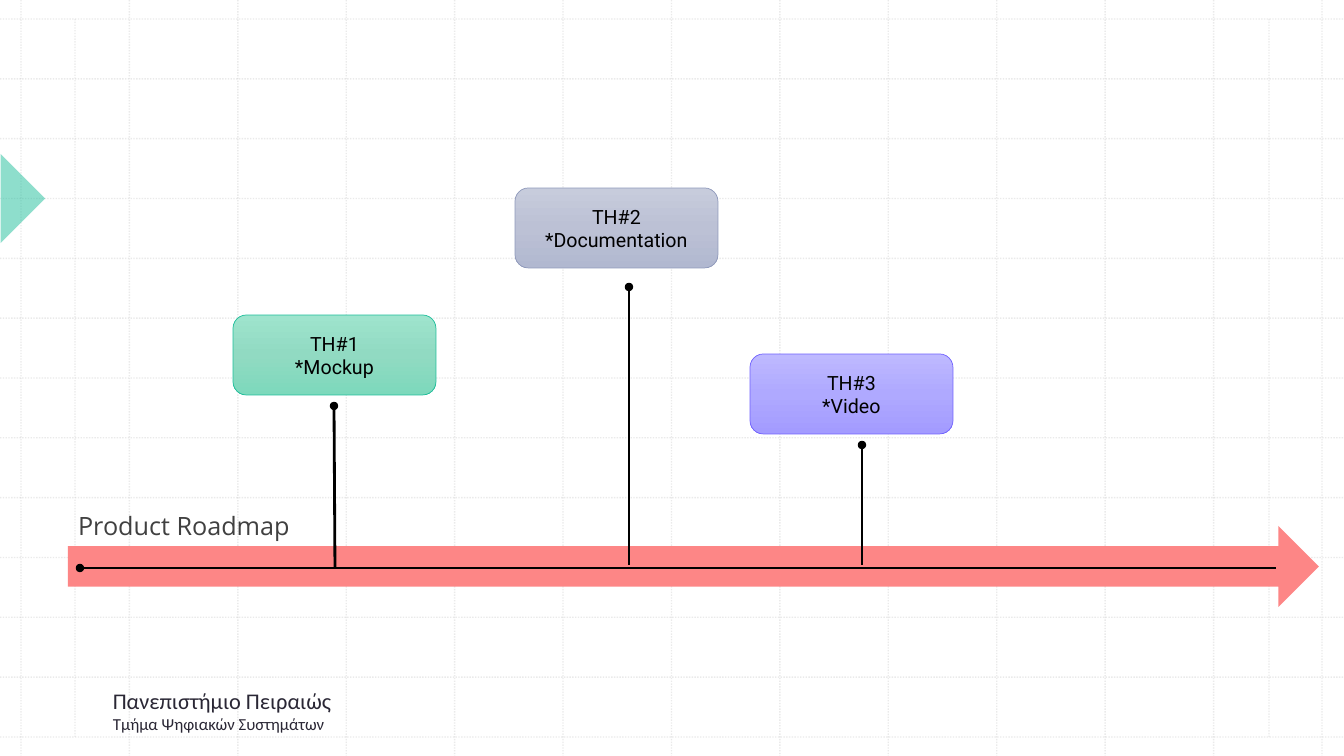
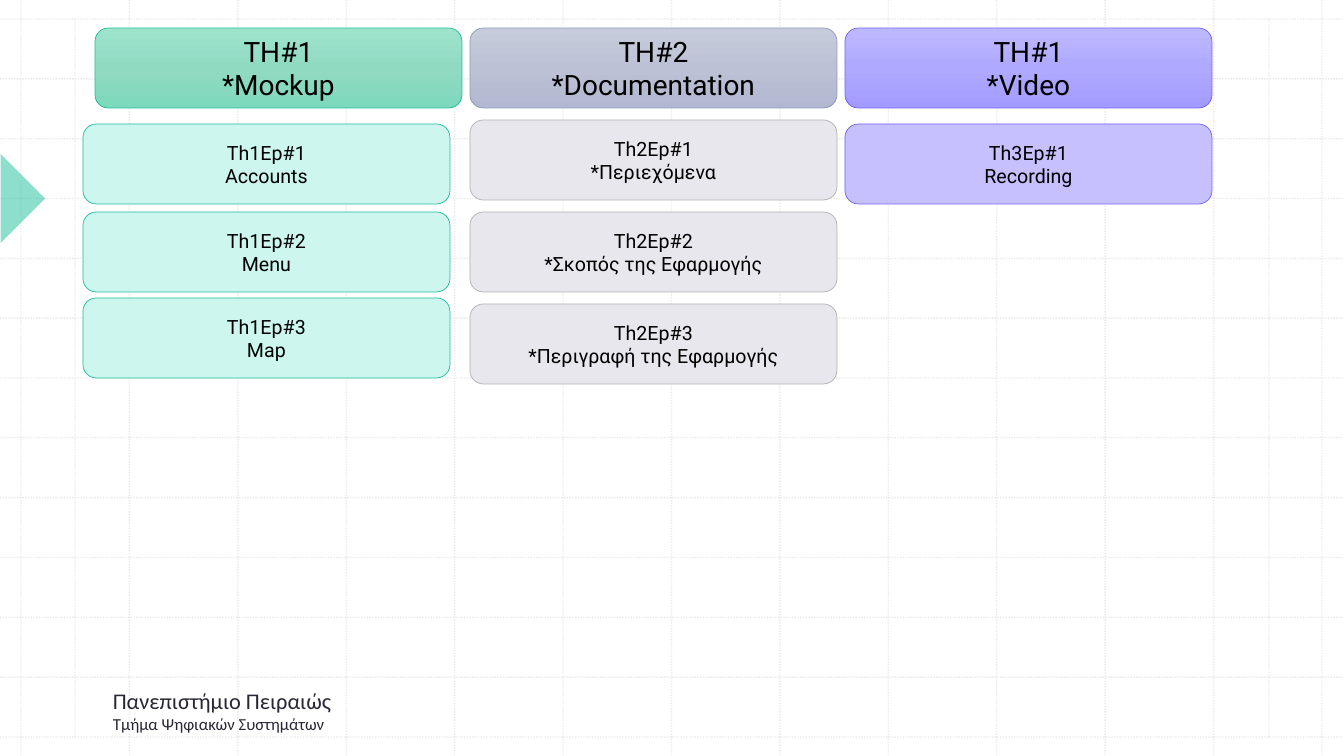
"""Build a product roadmap timeline and its theme and epic board."""
import copy
import dataclasses
from typing import Optional

import lxml.etree
import pptx
import pptx.dml.color
import pptx.enum.dml
import pptx.enum.shapes
import pptx.enum.text
import pptx.oxml.ns
import pptx.presentation
import pptx.shapes.autoshape
import pptx.shapes.connector
import pptx.slide
import pptx.text.text
import pptx.util

SHAPE = pptx.enum.shapes.MSO_SHAPE
ALIGN = pptx.enum.text.PP_ALIGN
ANCHOR = pptx.enum.text.MSO_ANCHOR
qn = pptx.oxml.ns.qn

SLIDE_W, SLIDE_H = 1344, 756
EMU_PER_PX = 914400 / 100.8
TITLE_ONLY, BLANK = 5, 6
CARD_H = 80


@dataclasses.dataclass(frozen=True)
class Tint:
    """Colours of one roadmap theme."""
    stops: tuple[str, str, str]
    line: str
    epic_fill: str
    epic_line: str


@dataclasses.dataclass(frozen=True)
class Theme:
    """Colours, fonts and type sizes of the deck."""
    grid: str = "BCBCBC"
    accent: str = "1EBE9B"
    arrow: str = "FD8686"
    ink: str = "000000"
    title: str = "404040"
    footer: str = "2A2735"
    card_font: str = "Roboto"
    title_font: str = "Open Sans"
    footer_font: str = "Calibri"
    card_size: int = 14
    head_size: int = 20
    title_size: int = 18
    footer_size: int = 16
    footer_small: int = 12
    mockup: Tint = Tint(("9EE4CD", "91DAC2", "7DD9BC"), "1EBE9B", "CDF7EE", "1EBE9B")
    documentation: Tint = Tint(("C7CCDC", "BCC1D5", "B1B8D0"), "8F99BB", "E8E7ED", "B2B2B2")
    video: Tint = Tint(("BEB9FF", "AFA9FF", "A39BFF"), "7162FE", "C6C0FF", "7162FE")


THEME = Theme()


@dataclasses.dataclass(frozen=True)
class Milestone:
    """A theme card on the timeline with its pin."""
    x: int
    y: int
    lines: tuple[str, str]
    tint: Tint
    pin_foot: tuple[int, int]
    pin_head: tuple[int, int]


@dataclasses.dataclass(frozen=True)
class Column:
    """A theme heading with the epics below it."""
    lines: tuple[str, str]
    tint: Tint
    epic_x: int
    epics: tuple[tuple[int, str, str], ...]


MILESTONES = (
    Milestone(233, 315, ("ΤΗ#1", "*Mockup"), THEME.mockup, (335, 568), (334, 406)),
    Milestone(515, 188, ("ΤΗ#2", "*Documentation"), THEME.documentation, (629, 565), (629, 287)),
    Milestone(750, 354, ("ΤΗ#3", "*Video"), THEME.video, (862, 565), (862, 445)),
)
COLUMNS = (
    Column(("ΤΗ#1", "*Mockup"), THEME.mockup, 83, (
        (124, "Th1Ep#1", "Accounts"),
        (212, "Th1Ep#2", "Menu"),
        (298, "Th1Ep#3", "Map"),
    )),
    Column(("ΤΗ#2", "*Documentation"), THEME.documentation, 470, (
        (120, "Th2Ep#1", "*Περιεχόμενα"),
        (212, "Th2Ep#2", "*Σκοπός της Εφαρμογής"),
        (304, "Th2Ep#3", "*Περιγραφή της Εφαρμογής"),
    )),
    Column(("ΤΗ#1", "*Video"), THEME.video, 845, (
        (124, "Th3Ep#1", "Recording"),
    )),
)


def px(n: float) -> pptx.util.Emu:
    """Turn pixels into EMU."""
    return pptx.util.Emu(round(n * EMU_PER_PX))


def rgb(code: str) -> pptx.dml.color.RGBColor:
    """Turn a hex code into a colour."""
    return pptx.dml.color.RGBColor.from_string(code)


def set_alpha(element: lxml.etree._Element, percent: int) -> None:
    """Make the first colour inside an element partly transparent."""
    clr = next(element.iter(qn("a:srgbClr")))
    lxml.etree.SubElement(clr, qn("a:alpha"), val=str(percent * 1000))


def add_run(p: pptx.text.text._Paragraph, text: str, font: str, size: int, color: str) -> None:
    """Append one formatted run."""
    r = p.add_run()
    r.text = text
    r.font.name = font
    r.font.size = pptx.util.Pt(size)
    r.font.color.rgb = rgb(color)


def add_line(shapes, start: tuple[float, float], end: tuple[float, float],
             color: str, width: int) -> pptx.shapes.connector.Connector:
    """Draw a straight line without a shadow."""
    straight = pptx.enum.shapes.MSO_CONNECTOR.STRAIGHT
    line = shapes.add_connector(straight, *map(px, start + end))
    line.line.color.rgb = rgb(color)
    line.line.width = pptx.util.Pt(width)
    lxml.etree.SubElement(line._element.spPr, qn("a:effectLst"))
    return line


def add_grid_line(shapes, start: tuple[float, float], end: tuple[float, float]) -> None:
    """Draw one faint dotted grid line."""
    line = add_line(shapes, start, end, THEME.grid, 1)
    line.line.dash_style = pptx.enum.dml.MSO_LINE.ROUND_DOT
    set_alpha(line._element.spPr, 30)


def add_pin(shapes, foot: tuple[int, int], head: tuple[int, int]) -> None:
    """Draw a black line with a round head."""
    line = add_line(shapes, foot, head, THEME.ink, 2)
    ln = line._element.spPr.find(qn("a:ln"))
    lxml.etree.SubElement(ln, qn("a:tailEnd"), type="oval")


def add_block(shapes, kind: pptx.enum.shapes.MSO_SHAPE, x: int, y: int, w: int, h: int,
              fill: str, line: Optional[str] = None) -> pptx.shapes.autoshape.Shape:
    """Draw a flat preset shape with an optional thin outline."""
    sp = shapes.add_shape(kind, px(x), px(y), px(w), px(h))
    sp.shadow.inherit = False
    sp.fill.solid()
    sp.fill.fore_color.rgb = rgb(fill)
    if line is None:
        sp.line.fill.background()
    else:
        sp.line.color.rgb = rgb(line)
        sp.line.width = pptx.util.Pt(0.5)
    return sp


def set_gradient(sp: pptx.shapes.autoshape.Shape, colors: tuple[str, ...]) -> None:
    """Fill a shape with evenly spaced colours from top to bottom."""
    sp.fill.gradient()
    sp.fill.gradient_angle = 270
    stops = next(sp._element.spPr.iter(qn("a:gsLst")))
    while len(stops) < len(colors):
        stops.append(copy.deepcopy(stops[0]))
    for i, (stop, color) in enumerate(zip(sp.fill.gradient_stops, colors)):
        stop.position = i / (len(colors) - 1)
        stop.color.rgb = rgb(color)


def add_card(slide: pptx.slide.Slide, x: int, y: int, w: int, lines: tuple[str, ...], size: int,
             fill: str, line: str) -> pptx.shapes.autoshape.Shape:
    """Draw a rounded card with centred lines of text."""
    sp = add_block(slide.shapes, SHAPE.ROUNDED_RECTANGLE, x, y, w, CARD_H, fill, line)
    tf = sp.text_frame
    tf.word_wrap = True
    tf.vertical_anchor = ANCHOR.MIDDLE
    for i, text in enumerate(lines):
        p = tf.add_paragraph() if i else tf.paragraphs[0]
        p.alignment = ALIGN.CENTER
        add_run(p, text, THEME.card_font, size, THEME.ink)
    return sp


def add_theme_card(slide: pptx.slide.Slide, x: int, y: int, w: int, lines: tuple[str, str],
                   size: int, tint: Tint) -> None:
    """Draw a theme card with its gradient."""
    sp = add_card(slide, x, y, w, lines, size, tint.stops[0], tint.line)
    set_gradient(sp, tint.stops)


def add_backdrop(prs: pptx.presentation.Presentation, slide: pptx.slide.Slide) -> None:
    """Draw the grid and side marker, then hand them to the slide master."""
    left, right, top, bottom, cells = 21, 1322, 19, 737, 12
    group = slide.shapes.add_group_shape()
    for i in range(cells + 1):
        x = left + (right - left) * i / cells
        y = top + (bottom - top) * i / cells
        add_grid_line(group.shapes, (x, 0), (x, SLIDE_H))
        add_grid_line(group.shapes, (0, y), (SLIDE_W, y))
    for x in (75, 1269):
        add_grid_line(group.shapes, (x, top), (x, bottom))
    marker = add_block(group.shapes, SHAPE.RIGHT_TRIANGLE, -31, 167, 63, 63, THEME.accent)
    marker.rotation = 225
    set_alpha(marker._element.spPr, 50)
    for number, props in enumerate(group._element.iter(qn("p:cNvPr")), 100):
        props.set("id", str(number))
    prs.slide_master.shapes.element.insert(2, group._element)


def add_footer(slide: pptx.slide.Slide) -> None:
    """Write the university and department."""
    tf = slide.shapes.add_textbox(px(103), px(682), px(300), px(64)).text_frame
    tf.word_wrap = True
    p = tf.paragraphs[0]
    p.space_before = pptx.util.Pt(10)
    add_run(p, "Πανεπιστήμιο Πειραιώς", THEME.footer_font, THEME.footer_size, THEME.footer)
    add_run(tf.add_paragraph(), "Τμήμα Ψηφιακών Συστημάτων",
            THEME.footer_font, THEME.footer_small, THEME.footer)


def set_title(slide: pptx.slide.Slide, text: str) -> None:
    """Place and format the slide title."""
    sp = slide.shapes.title
    sp.left, sp.top, sp.width, sp.height = map(px, (68, 505, 674, 40))
    tf = sp.text_frame
    tf.auto_size = pptx.enum.text.MSO_AUTO_SIZE.NONE
    tf.vertical_anchor = ANCHOR.TOP
    p = tf.paragraphs[0]
    p.alignment = ALIGN.LEFT
    add_run(p, text, THEME.title_font, THEME.title_size, THEME.title)


def build_roadmap(slide: pptx.slide.Slide) -> None:
    """Draw the timeline arrow and its milestones."""
    add_block(slide.shapes, SHAPE.RIGHT_ARROW, 68, 526, 1251, 81, THEME.arrow)
    add_pin(slide.shapes, (1276, 568), (80, 568))
    for m in MILESTONES:
        add_pin(slide.shapes, m.pin_foot, m.pin_head)
        add_theme_card(slide, m.x, m.y, 203, m.lines, THEME.card_size, m.tint)
    set_title(slide, "Product Roadmap")
    add_footer(slide)


def build_board(slide: pptx.slide.Slide) -> None:
    """Draw the theme columns with their epics."""
    left, pitch, width = 95, 375, 367
    for i, col in enumerate(COLUMNS):
        add_theme_card(slide, left + pitch * i, 28, width, col.lines, THEME.head_size, col.tint)
        for y, *lines in col.epics:
            add_card(slide, col.epic_x, y, width, tuple(lines), THEME.card_size,
                     col.tint.epic_fill, col.tint.epic_line)
    add_footer(slide)


def main() -> None:
    """Build and save the deck."""
    prs = pptx.Presentation()
    prs.slide_width, prs.slide_height = px(SLIDE_W), px(SLIDE_H)
    roadmap = prs.slides.add_slide(prs.slide_layouts[TITLE_ONLY])
    add_backdrop(prs, roadmap)
    build_roadmap(roadmap)
    build_board(prs.slides.add_slide(prs.slide_layouts[BLANK]))
    prs.save("out.pptx")


if __name__ == "__main__":
    main()
